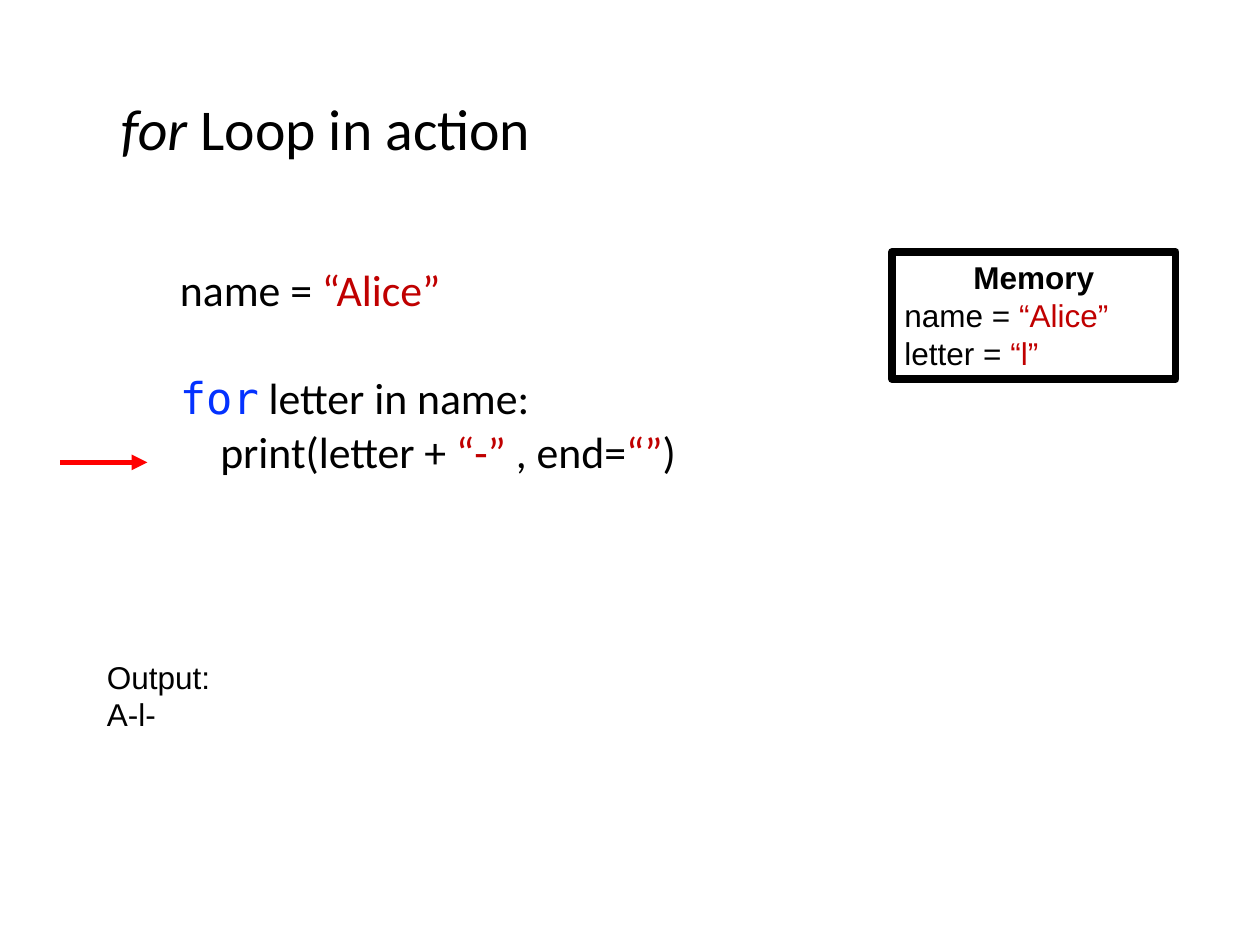
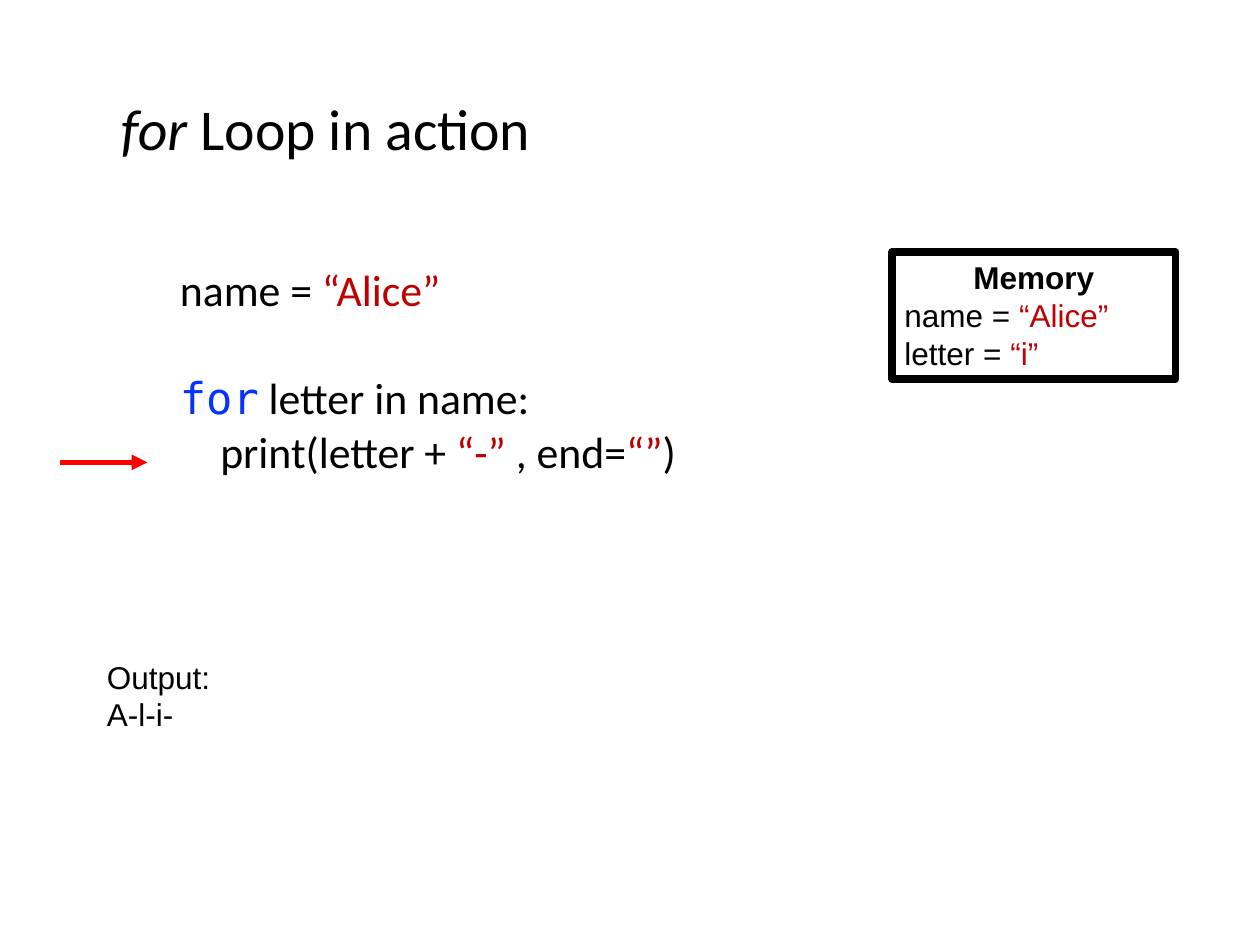
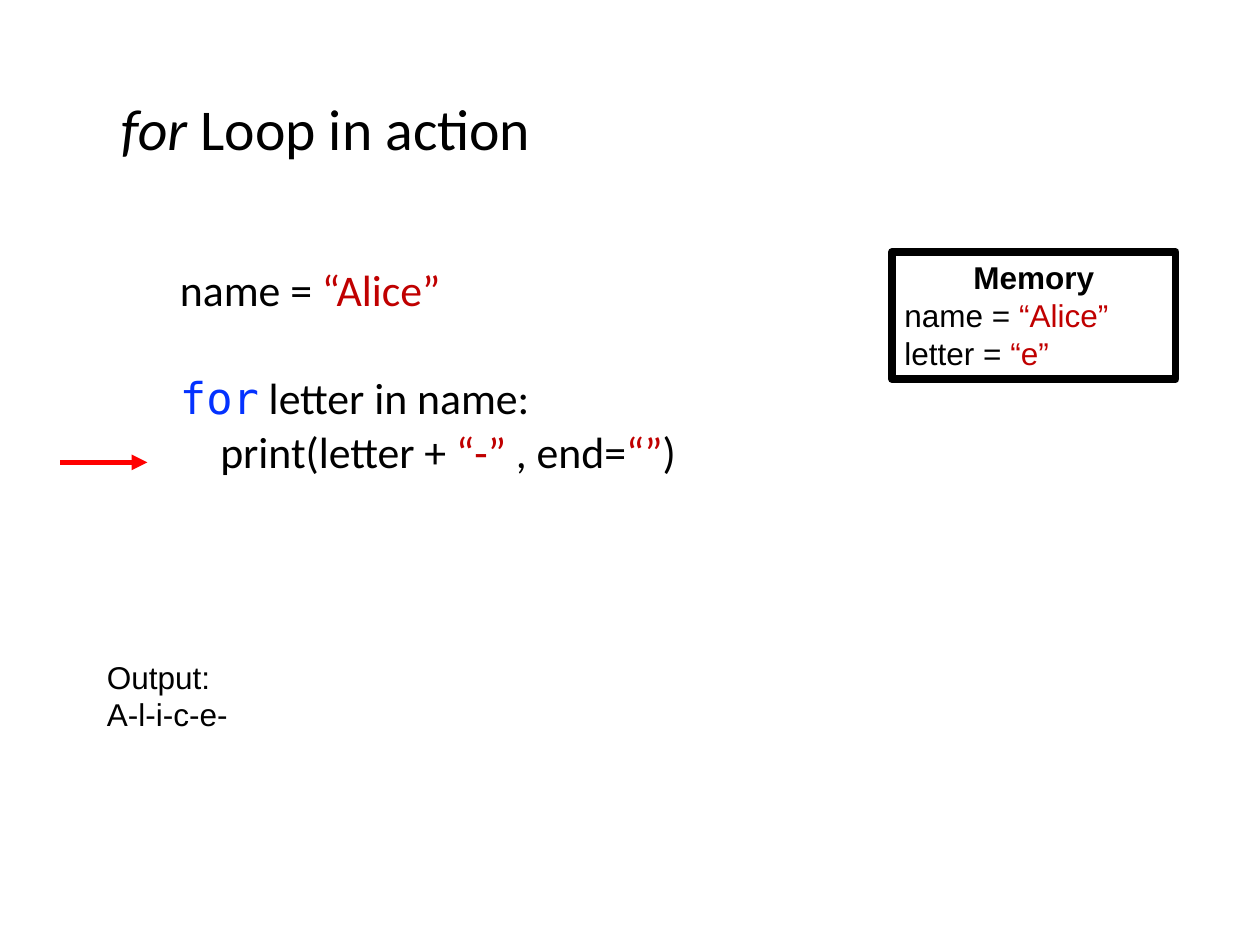
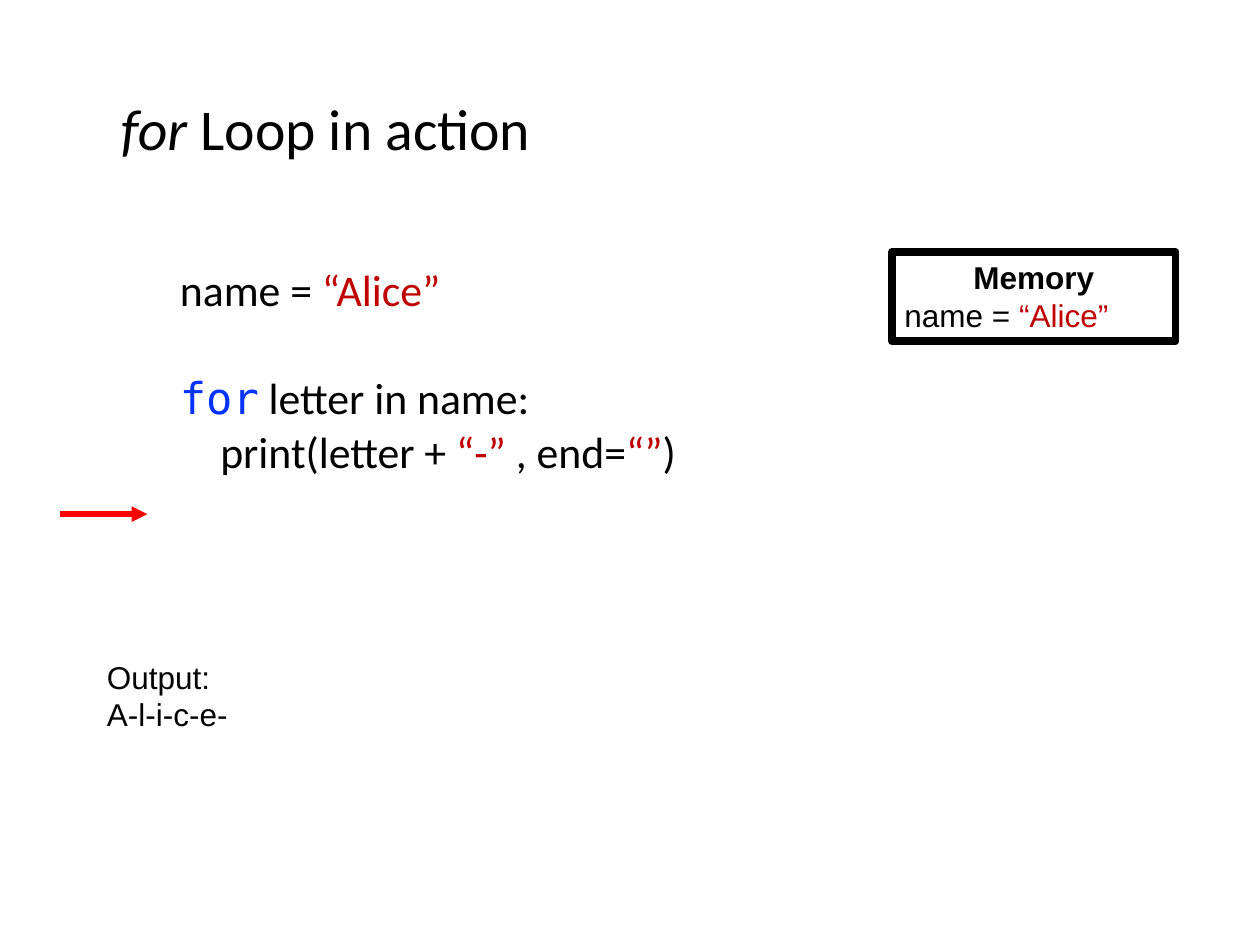
from dataclasses import dataclass

from lxml import etree
from pptx import Presentation
from pptx.dml.color import RGBColor
from pptx.enum.shapes import MSO_CONNECTOR, MSO_SHAPE
from pptx.enum.text import MSO_ANCHOR, MSO_AUTO_SIZE, PP_ALIGN
from pptx.oxml.ns import qn
from pptx.util import Inches, Pt

COLORS = {
    "text": "000000",
    "string": "C00000",
    "keyword": "0432FF",
    "pointer": "FF0000",
}
TITLE_FONT = CODE_FONT = "Calibri"
KEYWORD_FONT = "DejaVu Sans Mono"
PANEL_FONT = "Arial"

TITLE_BOX = (0.86, 0.67, 8.67, 0.75)
MEMORY_BOX = (7.08, 2, 2.25)
OUTPUT_BOX = (0.75, 5.17, 4.08, 1.01)
CODE_LEFT, CODE_TOP, CODE_HEIGHT = 1.33, 2.08, 4.58
PANEL_LINE, PANEL_PADDING = 0.3, 0.11

NAME_LINE = [("name = ", "text"), ("“Alice”", "string")]
FOR_LINE = [("for", "keyword"), (" letter in name:", "text")]
PRINT_LINE = [("print(letter + ", "text"), ("“-”", "string"),
              (" , end=", "text"), ("“”", "string"), (")", "text")]
# Each code line with its space before (points) and its indent (inches)
CODE_LINES = [(NAME_LINE, 3.8, 0), (FOR_LINE, 35, 0), (PRINT_LINE, 3.8, 0.32)]


@dataclass
class Step:
    letter: str
    output: str
    code_width: float
    pointer_y: float = 3.67


STEPS = [
    Step("l", "A-l-", 4.33),
    Step("i", "A-l-i-", 5.17),
    Step("e", "A-l-i-c-e-", 4.58),
    Step("", "A-l-i-c-e-", 4.67, 4.08),
]


def color(name):
    return RGBColor.from_string(COLORS[name])


def inches(box):
    return [Inches(length) for length in box]


def add_line(frame, parts, font, size):
    """Write (text, colour name) parts into the next paragraph of frame."""
    line = frame.paragraphs[0]
    if line.runs:
        line = frame.add_paragraph()
    line.alignment = PP_ALIGN.LEFT
    line.font.name = font
    line.font.size = Pt(size)
    for text, color_name in parts:
        run = line.add_run()
        run.text = text
        run.font.color.rgb = color(color_name)
        if color_name == "keyword":
            run.font.name = KEYWORD_FONT
    return line


def add_title(slide, box):
    title = slide.shapes.title
    title.left, title.top, title.width, title.height = inches(box)
    frame = title.text_frame
    frame.auto_size = MSO_AUTO_SIZE.NONE
    frame.vertical_anchor = MSO_ANCHOR.MIDDLE
    heading = add_line(frame, [("for", "text"), (" Loop in action", "text")],
                       TITLE_FONT, 33)
    heading.line_spacing = 0.9
    heading.runs[0].font.italic = True


def add_code(slide, box):
    frame = slide.shapes.add_textbox(*inches(box)).text_frame
    frame.word_wrap = True
    for parts, space_before, indent in CODE_LINES:
        line = add_line(frame, parts, CODE_FONT, 25)
        line.line_spacing = 0.9
        line.space_before = Pt(space_before)
        if indent:
            properties = line._p.get_or_add_pPr()
            properties.set("marL", str(Inches(indent)))
            properties.set("indent", "0")


def add_memory(slide, box, letter):
    """Draw the variables in memory; the box is as high as its lines need."""
    lines = [[("Memory", "text")], NAME_LINE]
    if letter:
        lines.append([("letter = ", "text"), (f"“{letter}”", "string")])
    height = PANEL_PADDING + PANEL_LINE * len(lines)
    memory = slide.shapes.add_shape(MSO_SHAPE.RECTANGLE, *inches((*box, height)))
    memory.shadow.inherit = False
    memory.fill.background()
    memory.line.color.rgb = color("text")
    memory.line.width = Pt(4.5)
    frame = memory.text_frame
    frame.word_wrap = True
    frame.auto_size = MSO_AUTO_SIZE.SHAPE_TO_FIT_TEXT
    frame.vertical_anchor = MSO_ANCHOR.TOP
    for parts in lines:
        add_line(frame, parts, PANEL_FONT, 18)
    heading = frame.paragraphs[0]
    heading.alignment = PP_ALIGN.CENTER
    heading.font.bold = True


def add_pointer(slide, y):
    pointer = slide.shapes.add_connector(
        MSO_CONNECTOR.STRAIGHT, *inches((0.48, y, 1.17, y)))
    pointer.line.color.rgb = color("pointer")
    pointer.line.width = Pt(3)
    etree.SubElement(pointer.line._get_or_add_ln(), qn("a:tailEnd"), type="triangle")
    etree.SubElement(pointer._element.spPr, qn("a:effectLst"))


def add_output(slide, box, output):
    frame = slide.shapes.add_textbox(*inches(box)).text_frame
    frame.word_wrap = True
    for text in ("Output:", output):
        add_line(frame, [(text, "text")], PANEL_FONT, 18)


def add_step_slide(presentation, step):
    slide = presentation.slides.add_slide(
        presentation.slide_layouts.get_by_name("Title Only"))
    add_title(slide, TITLE_BOX)
    add_code(slide, (CODE_LEFT, CODE_TOP, step.code_width, CODE_HEIGHT))
    add_memory(slide, MEMORY_BOX, step.letter)
    add_pointer(slide, step.pointer_y)
    add_output(slide, OUTPUT_BOX, step.output)


def main():
    presentation = Presentation()
    presentation.slide_width = Inches(10)
    presentation.slide_height = Inches(7.5)
    for step in STEPS:
        add_step_slide(presentation, step)
    presentation.save("out.pptx")


if __name__ == "__main__":
    main()
